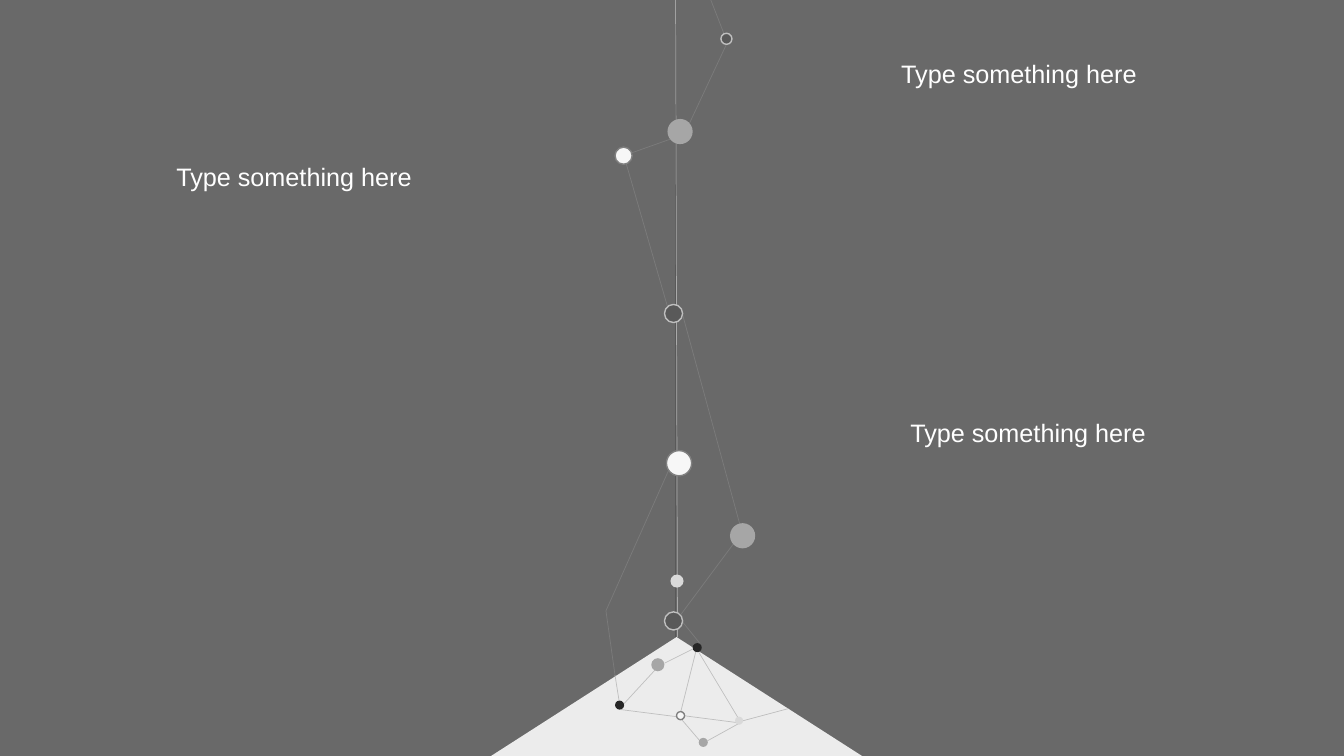
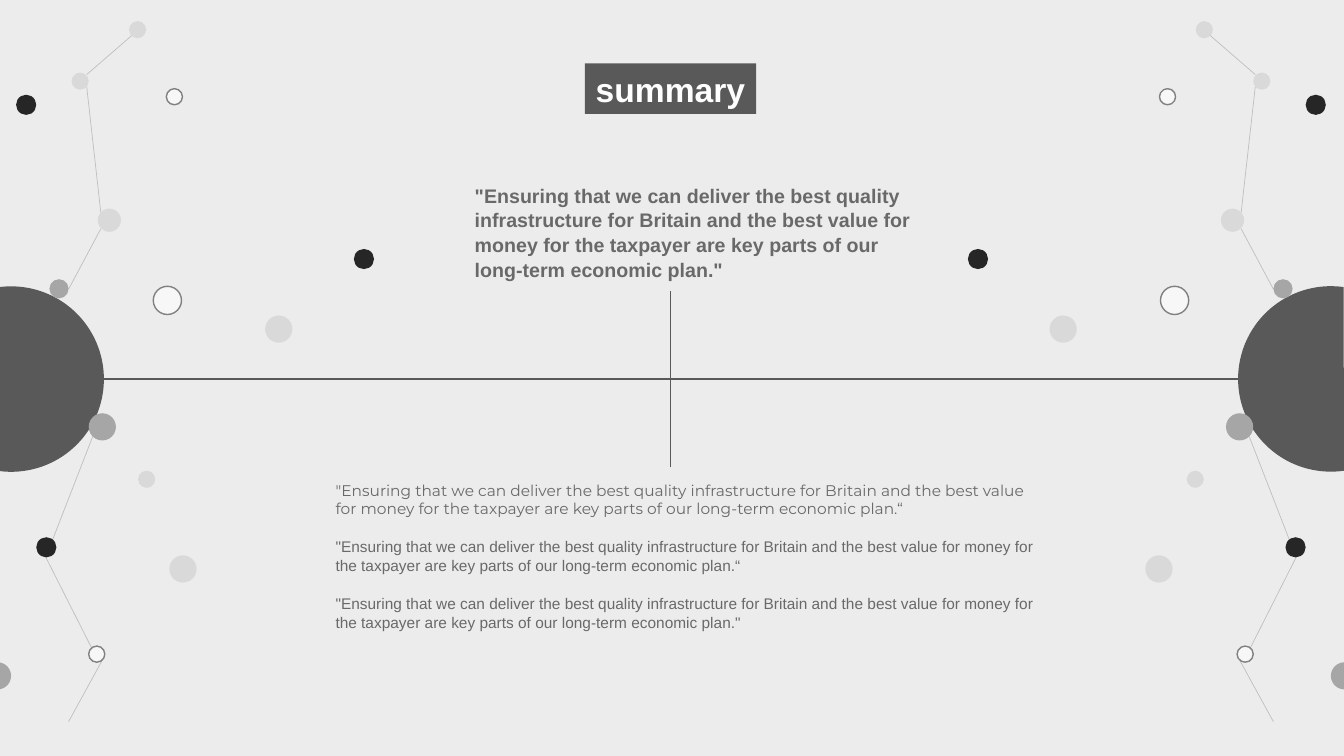
from lxml import etree
from pptx import Presentation
from pptx.dml.color import RGBColor
from pptx.enum.shapes import MSO_CONNECTOR, MSO_SHAPE
from pptx.enum.text import MSO_AUTO_SIZE, PP_ALIGN
from pptx.oxml.ns import qn
from pptx.util import Cm, Pt

STRAIGHT = MSO_CONNECTOR.STRAIGHT
OVAL, CHORD = MSO_SHAPE.OVAL, MSO_SHAPE.CHORD
RECT, TRIANGLE = MSO_SHAPE.RECTANGLE, MSO_SHAPE.ISOSCELES_TRIANGLE
FIT = MSO_AUTO_SIZE.SHAPE_TO_FIT_TEXT
LEFT, CENTER = PP_ALIGN.LEFT, PP_ALIGN.CENTER

COLORS = {
    "slate": "696969", "paper": "ECECEC", "dark": "595959", "white": "FFFFFF",
    "black": "262626", "gray": "A6A6A6", "pale": "D9D9D9", "snow": "F7F7F7",
    "rim": "808080", "link": "BFBFBF",
}
DOT_STYLES = {
    "black": ("black", None), "gray": ("gray", None), "pale": ("pale", None),
    "ring": ("snow", "rim"), "hollow": ("dark", "link"),
}
SLIDE_W, SLIDE_H = 13.33, 7.5
FULL = (0, 0, SLIDE_W, SLIDE_H)
SIDE_W = 3.71
FAINT = 21

PROMPT = "Type something here"
PROMPT_SPOTS = [(8.84, 0.53), (1.65, 1.55), (8.93, 4.09)]
QUOTE = ('"Ensuring that we can deliver the best quality infrastructure for Britain '
         'and the best value for money for the taxpayer are key parts of our '
         'long-term economic plan.')

STEM_FAINT_LINKS = [
    (7.05, 0, 7.21, 0.41), (6.84, 1.22, 7.21, 0.43), (6.65, 1.38, 6.17, 1.55),
    (6.62, 3.04, 6.19, 1.55), (7.34, 5.21, 6.77, 3.12), (6.75, 6.1, 7.39, 5.24),
    (6.01, 6.06, 6.63, 4.67), (6.1, 6.7, 6.01, 6.06), (6.94, 6.38, 6.77, 6.17),
]
ROOT_LINKS = [
    (6.59, 6.58, 6.87, 6.44), (6.54, 6.6, 6.19, 6.98), (6.14, 6.95, 6.1, 6.7),
    (6.72, 7.09, 6.95, 7.36), (6.9, 6.47, 6.74, 7.11), (7.36, 7.16, 6.98, 7.37),
    (6.78, 7.1, 7.32, 7.17), (7.32, 7.12, 6.93, 6.47), (7.82, 7.03, 7.37, 7.15),
    (6.16, 7.04, 6.71, 7.11),
]
STEM_DOTS = [
    (6.59, 3.02, 0.18, "hollow"), (6.62, 1.18, 0.25, "gray"),
    (6.61, 4.47, 0.25, "ring"), (6.59, 6.07, 0.18, "hollow"),
    (7.15, 0.33, 0.11, "hollow"), (6.1, 1.46, 0.17, "ring"),
    (7.24, 5.19, 0.25, "gray"), (6.1, 6.95, 0.09, "black"),
    (6.46, 6.53, 0.13, "gray"), (6.71, 7.06, 0.08, "ring"),
    (7.29, 7.11, 0.08, "pale"), (6.93, 7.32, 0.09, "gray"),
    (6.87, 6.38, 0.09, "black"), (6.65, 5.7, 0.13, "pale"),
]
SIDE_LINKS = [
    (1.02, 6.54, 0.68, 7.16), (0.86, 0.74, 1.31, 0.35), (1, 2.11, 0.86, 0.86),
    (0.68, 2.87, 1, 2.27), (0.91, 6.43, 0.45, 5.52), (0.52, 5.36, 0.92, 4.33),
]
SIDE_DOTS = [
    (0.16, 0.94, 0.2, "black"), (-0.16, 6.57, 0.27, "gray"),
    (0.88, 6.41, 0.16, "ring"), (1.65, 0.88, 0.16, "ring"),
    (0.71, 0.72, 0.17, "pale"), (0.49, 2.77, 0.19, "gray"),
    (3.51, 2.47, 0.2, "black"), (0.88, 4.1, 0.27, "gray"),
    (0.36, 5.33, 0.2, "black"), (1.28, 0.21, 0.17, "pale"),
    (1.37, 4.67, 0.17, "pale"), (2.63, 3.13, 0.27, "pale"),
    (1.68, 5.51, 0.27, "pale"), (1.52, 2.84, 0.28, "ring"),
    (0.97, 2.07, 0.23, "pale"),
]


def length(inches):
    return Cm(inches * 2.54)


def rgb(name):
    return RGBColor.from_string(COLORS[name])


def add_slide(prs, background):
    slide = prs.slides.add_slide(prs.slide_layouts[6])
    fill = slide.background.fill
    fill.solid()
    fill.fore_color.rgb = rgb(background)
    return slide


def add_line(slide, ends, color="link", width=0.5, opacity=100):
    line = slide.shapes.add_connector(STRAIGHT, *map(length, ends))
    line.line.color.rgb = rgb(color)
    line.line.width = Pt(width)
    sp_pr = line._element.spPr
    if opacity < 100:
        alpha = etree.SubElement(sp_pr.find(".//" + qn("a:srgbClr")), qn("a:alpha"))
        alpha.set("val", str(opacity * 1000))
    etree.SubElement(sp_pr, qn("a:effectLst"))


def add_shape(slide, kind, box, fill, line=None):
    sp = slide.shapes.add_shape(kind, *map(length, box))
    sp.shadow.inherit = False
    sp.fill.solid()
    sp.fill.fore_color.rgb = rgb(fill)
    if line:
        sp.line.color.rgb = rgb(line)
        sp.line.width = Pt(1)
    else:
        sp.line.fill.background()
    return sp


def style_paragraph(p, size, color, font="Arial", bold=False, align=LEFT, spacing=None):
    p.alignment = align
    p.line_spacing = spacing
    for r in p.runs:
        r.font.size = Pt(size)
        r.font.name = font
        r.font.bold = bold
        r.font.color.rgb = rgb(color)


def add_text(slide, box, text):
    tf = slide.shapes.add_textbox(*map(length, box)).text_frame
    tf.word_wrap = True
    tf.auto_size = FIT
    tf.text = text
    return tf.paragraphs


def add_network(slide, box, links, dots, mirrored=False, opacity=100):
    left, top, width, _ = box

    def place(x, size=0):
        return left + (width - x - size if mirrored else x)

    for x1, y1, x2, y2 in links:
        add_line(slide, (place(x1), top + y1, place(x2), top + y2), opacity=opacity)
    for x, y, size, style in dots:
        add_shape(slide, OVAL, (place(x, size), top + y, size, size), *DOT_STYLES[style])


def add_side(slide, box, mirrored):
    left, top, width, _ = box
    size, overhang = 1.84, 0.81
    x = left + width + overhang - size if mirrored else left - overhang
    chord = add_shape(slide, CHORD, (x, top + 2.84, size, size), "dark")
    chord.adjustments[0] = 24.13
    chord.adjustments[1] = 141.74
    chord.rotation = 41.6 if mirrored else 222.1
    add_network(slide, box, SIDE_LINKS, SIDE_DOTS, mirrored)


def add_title(slide, box, text):
    sp = add_shape(slide, RECT, box, "dark")
    tf = sp.text_frame
    tf.word_wrap = False
    tf.auto_size = FIT
    tf.text = text
    style_paragraph(tf.paragraphs[0], 24, "white", bold=True, align=CENTER)


def add_quotes(slide, box):
    paragraphs = add_text(slide, box, "\n".join(QUOTE + mark for mark in ("“", "“", '"')))
    for i, p in enumerate(paragraphs):
        style_paragraph(p, 11, "slate", font="Arial" if i else "Montserrat",
                        spacing=1.05 if i else None)
        if i < len(paragraphs) - 1:
            p.space_after = Pt(13)


def build_timeline(prs):
    slide = add_slide(prs, "slate")
    add_line(slide, (6.7, 0, 6.7, SLIDE_H), "dark", 1)
    add_shape(slide, TRIANGLE, (4.87, 6.32, 3.68, 1.18), "paper")
    add_line(slide, (6.7, 0, 6.72, 6.32), "white", 0.5, 43)
    add_network(slide, FULL, STEM_FAINT_LINKS, [], opacity=FAINT)
    add_network(slide, FULL, ROOT_LINKS, STEM_DOTS)
    for x, y in PROMPT_SPOTS:
        for p in add_text(slide, (x, y, 2.62, 0.4), PROMPT):
            style_paragraph(p, 18, "white")


def build_summary(prs):
    slide = add_slide(prs, "paper")
    add_line(slide, (0.99, 3.76, 12.32, 3.76), "dark", 0.75)
    add_title(slide, (5.8, 0.63, 1.7, 0.5), "summary")
    add_line(slide, (6.65, 4.63, 6.65, 2.89), "dark", 0.75)
    for p in add_text(slide, (4.61, 1.76, 4.52, 1.04), QUOTE + '"'):
        style_paragraph(p, 14, "slate", bold=True, spacing=1.05)
    add_quotes(slide, (3.23, 4.72, 7.27, 1.77))
    for left, mirrored in ((9.6, True), (0, False)):
        add_side(slide, (left, 0, SIDE_W, SLIDE_H), mirrored)


def main():
    prs = Presentation()
    prs.slide_width = length(SLIDE_W)
    prs.slide_height = length(SLIDE_H)
    build_timeline(prs)
    build_summary(prs)
    prs.save("out.pptx")


if __name__ == "__main__":
    main()
